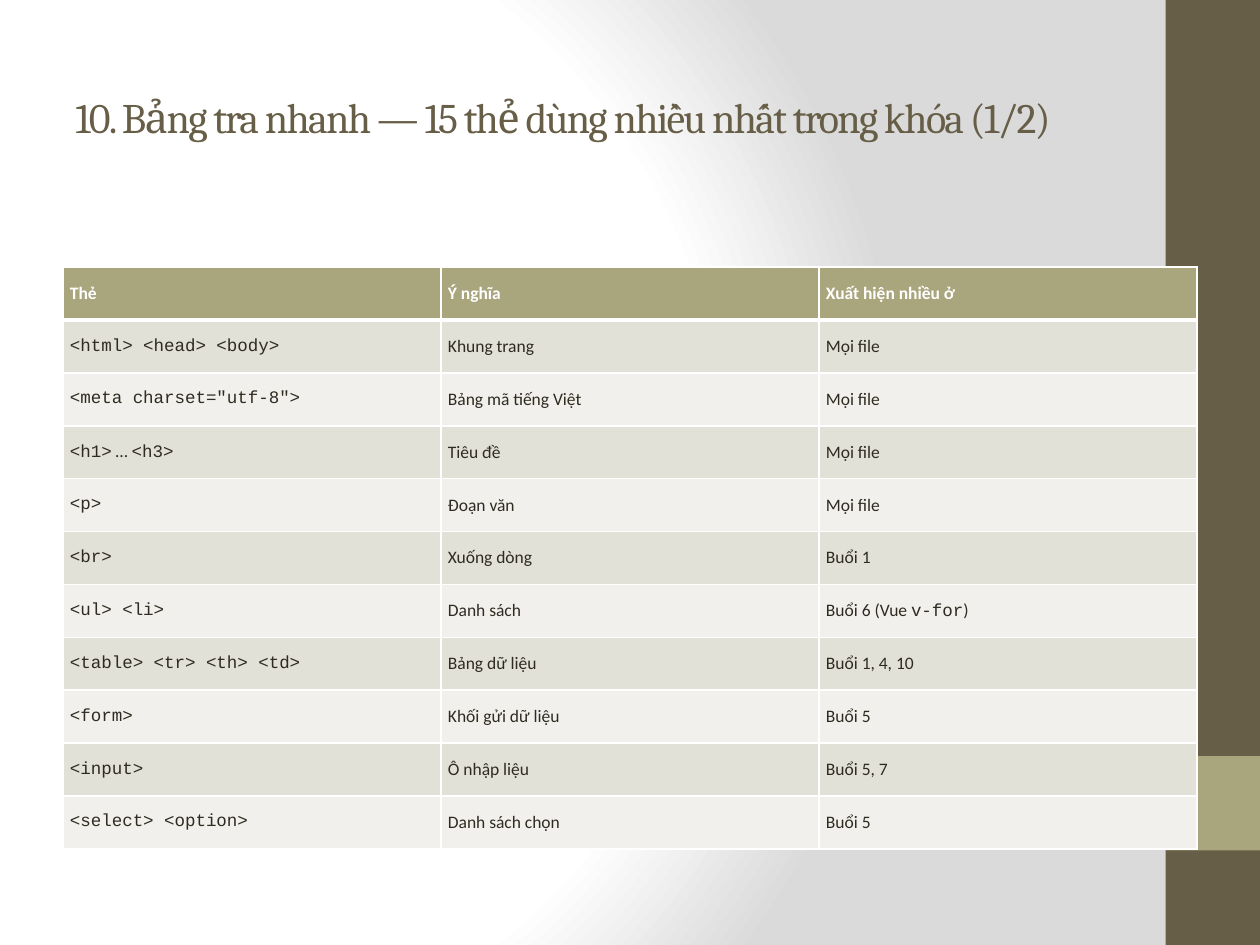
from pptx import Presentation
from pptx.dml.color import RGBColor as RGB
from pptx.enum.shapes import MSO_SHAPE as Shape
from pptx.enum.text import MSO_ANCHOR as Anchor
from pptx.oxml import parse_xml
from pptx.oxml.ns import nsdecls
from pptx.util import Pt

BROWN = RGB(0x67, 0x5E, 0x47)
OLIVE = RGB(0xA9, 0xA5, 0x7C)
INK = RGB(0x2F, 0x2B, 0x20)
WHITE = RGB(0xFF, 0xFF, 0xFF)
DARK = RGB(0xE2, 0xE1, 0xD7)
LIGHT = RGB(0xF1, 0xF0, 0xEC)
GREY = RGB(0xDA, 0xDA, 0xDA)


def write(frame, text, font="Calibri", size=10, color=INK, bold=False, space=0):
    """Write one line; pieces between backticks are set as code."""
    frame.word_wrap = True
    for i, part in enumerate(text.split("`")):
        if not part:
            continue
        run = frame.paragraphs[0].add_run()
        run.text = part
        run.font.name = "Courier New" if i % 2 else font
        run.font.size = Pt(size)
        run.font.bold = bold
        run.font.color.rgb = color
        if space:
            run._r.get_or_add_rPr().set("spc", str(space * 100))


def edge(cell, side, width):
    """Draw one white cell border."""
    cell._tc.get_or_add_tcPr().append(parse_xml(
        f'<a:ln{side} {nsdecls("a")} w="{Pt(width)}"><a:solidFill>'
        f'<a:srgbClr val="{WHITE}"/></a:solidFill></a:ln{side}>'))


deck = Presentation()
deck.slide_width, deck.slide_height = Pt(720), Pt(540)
slide = deck.slides.add_slide(deck.slide_layouts[6])

# Background: round gradient
stops = "".join(
    f'<a:gs pos="{pos * 1000}"><a:srgbClr val="{color}"/></a:gs>'
    for pos, color in [(0, WHITE), (75, WHITE), (100, GREY)])
slide._element.cSld.insert(0, parse_xml(
    f'<p:bg {nsdecls("p", "a")}><p:bgPr><a:gradFill rotWithShape="1">'
    f'<a:gsLst>{stops}</a:gsLst><a:path path="circle">'
    '<a:fillToRect l="20000" t="50000" r="100000" b="50000"/></a:path>'
    '</a:gradFill><a:effectLst/></p:bgPr></p:bg>'))

# Side band and its accent
for top, height, color in [(0, 540, BROWN), (432, 54, OLIVE)]:
    band = slide.shapes.add_shape(
        Shape.RECTANGLE, Pt(666), Pt(top), Pt(54), Pt(height))
    band.shadow.inherit = False
    band.fill.solid()
    band.fill.fore_color.rgb = color
    band.line.fill.background()

# Title
title = slide.shapes.add_textbox(Pt(36), Pt(21.6), Pt(600), Pt(90)).text_frame
title.vertical_anchor = Anchor.MIDDLE
write(title, "10. Bảng tra nhanh — 15 thẻ dùng nhiều nhất trong khóa (1/2)",
      font="Cambria", size=24, color=BROWN, space=-1)

# Table of tags
ROWS = [
    ("Thẻ", "Ý nghĩa", "Xuất hiện nhiều ở"),
    ("`<html> <head> <body>`", "Khung trang", "Mọi file"),
    ('`<meta charset="utf-8">`', "Bảng mã tiếng Việt", "Mọi file"),
    ("`<h1>` … `<h3>`", "Tiêu đề", "Mọi file"),
    ("`<p>`", "Đoạn văn", "Mọi file"),
    ("`<br>`", "Xuống dòng", "Buổi 1"),
    ("`<ul> <li>`", "Danh sách", "Buổi 6 (Vue `v-for`)"),
    ("`<table> <tr> <th> <td>`", "Bảng dữ liệu", "Buổi 1, 4, 10"),
    ("`<form>`", "Khối gửi dữ liệu", "Buổi 5"),
    ("`<input>`", "Ô nhập liệu", "Buổi 5, 7"),
    ("`<select> <option>`", "Danh sách chọn", "Buổi 5"),
]
table = slide.shapes.add_table(
    len(ROWS), 3, Pt(36), Pt(152.64), Pt(648), Pt(332.64)).table

for r, row in enumerate(ROWS):
    head = r == 0
    for c, text in enumerate(row):
        cell = table.cell(r, c)
        cell.margin_left = cell.margin_right = Pt(4)
        cell.margin_top = cell.margin_bottom = Pt(2)
        cell.vertical_anchor = Anchor.MIDDLE
        # The line under the header is heavier
        for side, width in [("L", 1), ("R", 1), ("T", 3 if r == 1 else 1),
                            ("B", 3 if head else 1)]:
            edge(cell, side, width)
        cell.fill.solid()
        cell.fill.fore_color.rgb = OLIVE if head else DARK if r % 2 else LIGHT
        write(cell.text_frame, text, color=WHITE if head else INK, bold=head)

deck.save("out.pptx")
